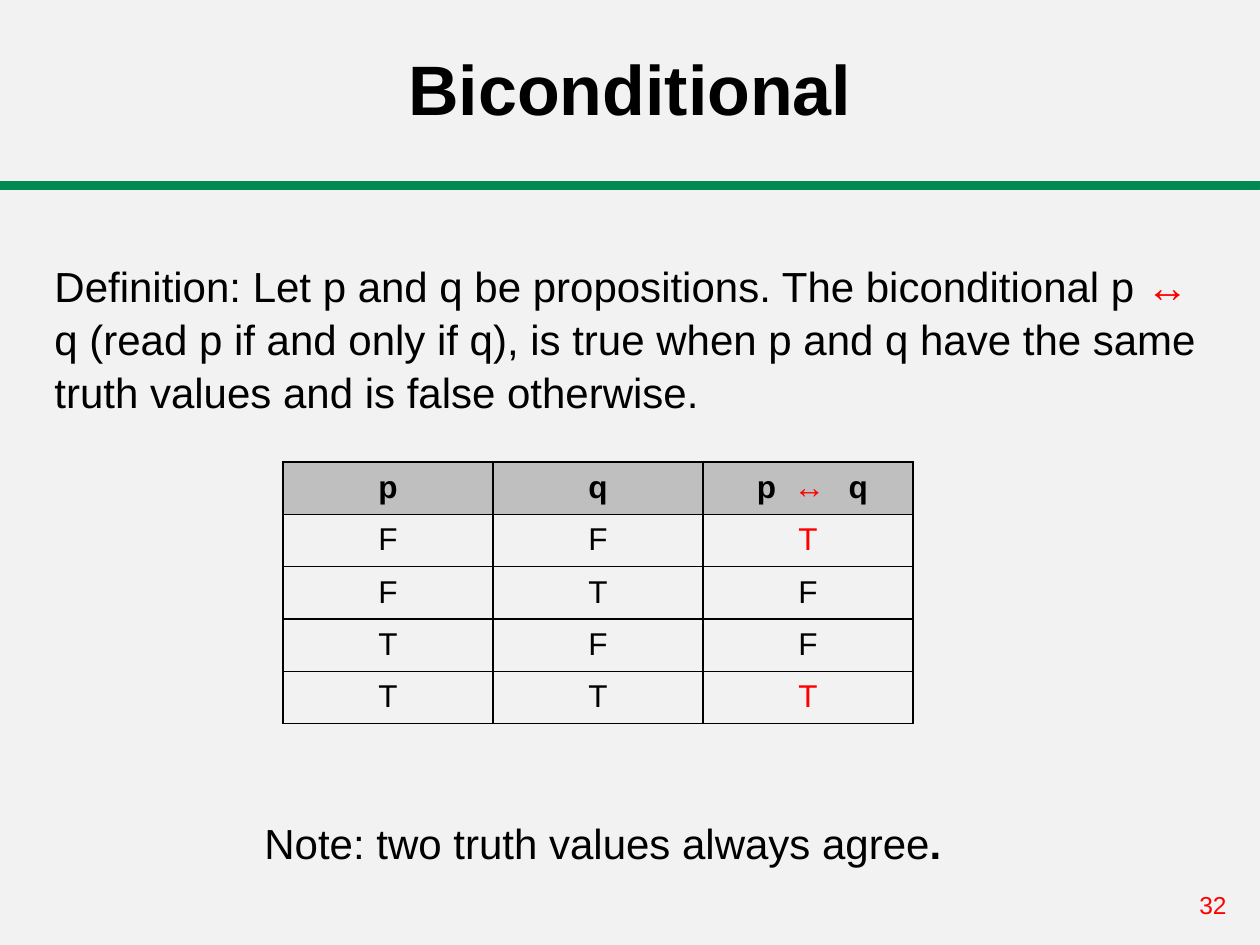
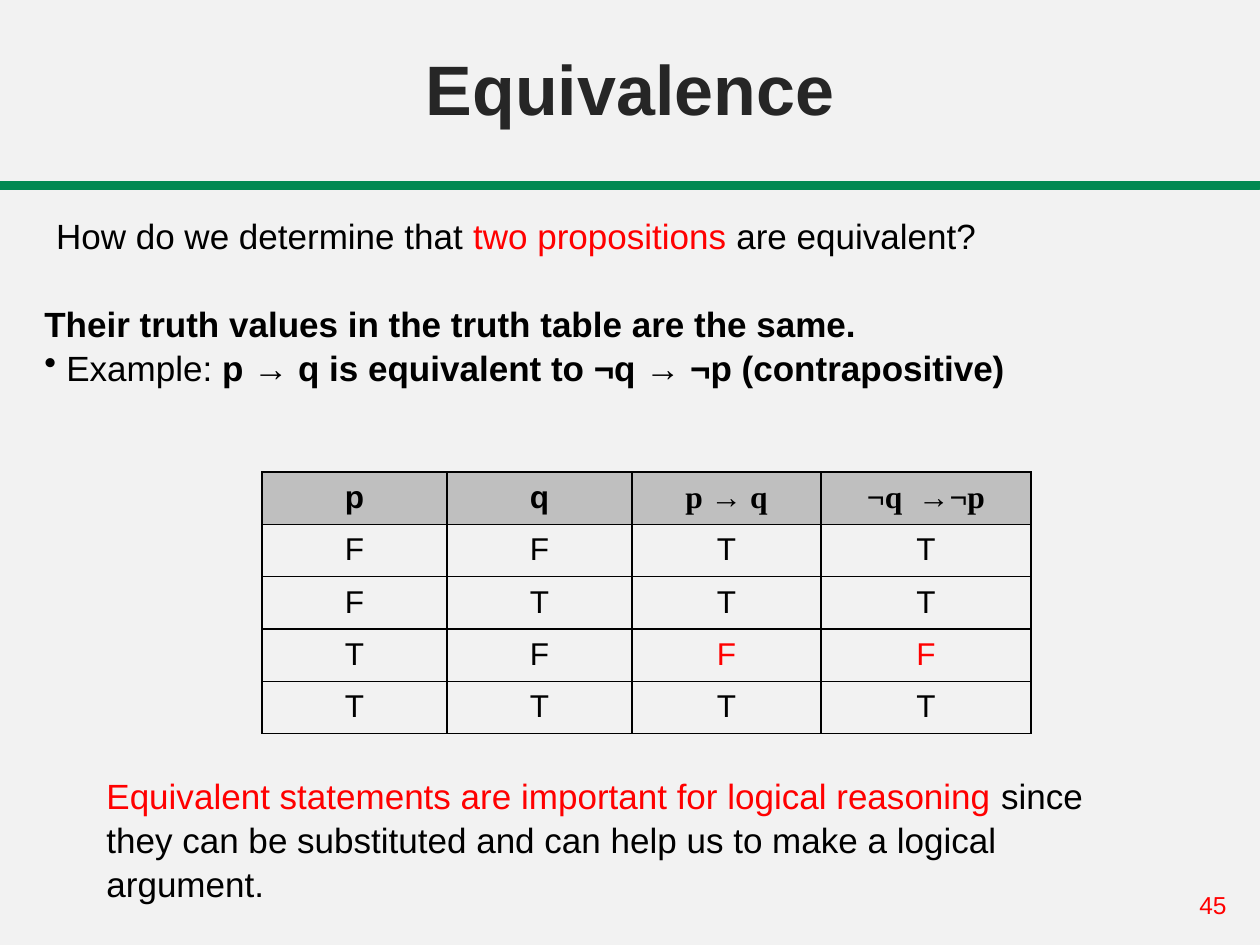
import pptx
import pptx.dml.color
import pptx.enum.shapes
import pptx.enum.text
import pptx.oxml.ns
import pptx.util
from lxml import etree

BLACK, CHARCOAL, RED, GREEN = "000000", "262626", "FF0000", "018952"
GREY, PAPER = "BFBFBF", "F2F2F2"
PX = 7257.14  # 126 px to the inch
LINE_SPACING = 1.05
ROW_HEIGHT = 51
LEFT, CENTER = pptx.enum.text.PP_ALIGN.LEFT, pptx.enum.text.PP_ALIGN.CENTER

BASE = {"name": "Arial", "size": 18, "bold": False, "color": BLACK}
BOLD, IN_RED = {"bold": True}, {"color": RED}
BOLD_TIMES = {"bold": True, "name": "Times New Roman"}

# A span is (text, format changes); a paragraph is (spans, paragraph options).
SLIDES = [
    {
        "title": "Biconditional", "title_color": BLACK, "number": "32",
        "boxes": [
            {"at": (42, 252, 1176, 165), "size": 24, "paragraphs": [
                ([("Definition: Let p and q be propositions. The biconditional p ", {}),
                  ("↔", IN_RED),
                  (" q (read p if and only if q), is true when p and q have the same "
                   "truth values and is false otherwise.", {})], {})]},
            {"at": (252, 809, 798, 64), "size": 24, "paragraphs": [
                ([("Note: two truth values always agree", {}), (".", BOLD)], {})]},
        ],
        "table": {
            "at": (283, 462), "columns": [210, 210, 210],
            "header": [[("p", BOLD)], [("q", BOLD)],
                       [(" p  ", BOLD), ("↔   ", BOLD_TIMES | IN_RED), ("q", BOLD)]],
            "rows": ["FFT", "FTF", "TFF", "TTT"],
            "red_cells": {(1, 2), (4, 2)},
        },
    },
    {
        "title": "Equivalence", "title_color": CHARCOAL, "number": "45",
        "boxes": [
            {"at": (32, 199, 1207, 233), "size": 20, "paragraphs": [
                ([(" ", {"size": 24}), ("How do we determine that ", {}),
                  ("two propositions ", IN_RED), ("are equivalent?", {})], {}),
                ([("Their truth values in the truth table are the same.", BOLD)],
                 {"before": 24}),
                ([("Example: ", {}),
                  ("p → q is equivalent to ¬q → ¬p (contrapositive)", BOLD)],
                 {"bullet": 22})]},
            {"at": (94, 766, 1040, 140), "size": 20, "paragraphs": [
                ([("Equivalent statements are important for logical reasoning ", IN_RED),
                  ("since they can be substituted and can help us to make a logical "
                   "argument.", {})], {})]},
        ],
        "table": {
            "at": (262, 472), "columns": [185, 185, 189, 210],
            "header": [[("p", BOLD)], [("q", BOLD)],
                       [("p → q", BOLD_TIMES)], [("¬q  →¬p", BOLD_TIMES)]],
            "rows": ["FFTT", "FTTT", "TFFF", "TTTT"],
            "red_cells": {(3, 2), (3, 3)},
        },
    },
]


def px(*lengths):
    return [pptx.util.Emu(round(length * PX)) for length in lengths]


def rgb(value):
    return pptx.dml.color.RGBColor.from_string(value)


def fill_solid(fill, color):
    fill.solid()
    fill.fore_color.rgb = rgb(color)


def add_child(parent, tag, **attributes):
    return etree.SubElement(parent, pptx.oxml.ns.qn(tag), attributes)


def write_paragraph(para, spans, formats, align=LEFT, before=0, bullet=0):
    para.alignment = align
    para.line_spacing = LINE_SPACING
    para.space_before = pptx.util.Pt(before)
    if bullet:
        properties = para._p.get_or_add_pPr()
        indent = px(bullet)[0]
        properties.set("marL", str(indent))
        properties.set("indent", str(-indent))
        add_child(properties, "a:buChar", char="•")
    for text, changes in spans:
        span = para.add_run()
        span.text = text
        values = BASE | formats | changes
        span.font.color.rgb = rgb(values.pop("color"))
        values["size"] = pptx.util.Pt(values["size"])
        for name, value in values.items():
            setattr(span.font, name, value)


def add_text(page, at, paragraphs, anchor=pptx.enum.text.MSO_ANCHOR.TOP, **formats):
    frame = page.shapes.add_textbox(*px(*at)).text_frame
    frame.word_wrap = True
    frame.vertical_anchor = anchor
    for index, (spans, options) in enumerate(paragraphs):
        para = frame.add_paragraph() if index else frame.paragraphs[0]
        write_paragraph(para, spans, formats, **options)


def add_frame(page, title, title_color, number):
    """Add the green band, the page number and the title."""
    band = page.shapes.add_shape(
        pptx.enum.shapes.MSO_SHAPE.RECTANGLE, *px(0, 183, 1260, 6))
    band.shadow.inherit = False
    fill_solid(band.fill, GREEN)
    band.line.color.rgb = rgb(GREEN)
    band.line.width = pptx.util.Pt(1.75)
    add_text(page, (1187, 882, 73, 43), [([(number, {})], {})], size=14, color=RED)
    add_text(page, (0, 0, 1260, 136), [([(title, {})], {"align": CENTER})],
             pptx.enum.text.MSO_ANCHOR.BOTTOM, size=40, bold=True, color=title_color)


def add_borders(cell):
    properties = cell._tc.get_or_add_tcPr()
    for side in "LRTB":
        line = add_child(properties, f"a:ln{side}", w=str(pptx.util.Pt(1)))
        add_child(add_child(line, "a:solidFill"), "a:srgbClr", val=BLACK)


def add_truth_table(page, at, columns, header, rows, red_cells):
    body = [[[(value, IN_RED if (r, c) in red_cells else {})]
             for c, value in enumerate(row)] for r, row in enumerate(rows, 1)]
    lines = [header] + body
    table = page.shapes.add_table(
        len(lines), len(columns),
        *px(*at, sum(columns), ROW_HEIGHT * len(lines))).table
    for column, width in zip(table.columns, columns):
        column.width = px(width)[0]
    for r, line in enumerate(lines):
        table.rows[r].height = px(ROW_HEIGHT)[0]
        for c, spans in enumerate(line):
            cell = table.cell(r, c)
            add_borders(cell)
            if r == 0:
                fill_solid(cell.fill, GREY)
            else:
                cell.fill.background()
            write_paragraph(cell.text_frame.paragraphs[0], spans, {}, CENTER)


def main():
    deck = pptx.Presentation()
    deck.slide_width, deck.slide_height = px(1260, 945)
    fill_solid(deck.slide_master.background.fill, PAPER)
    for content in SLIDES:
        page = deck.slides.add_slide(deck.slide_layouts[6])
        add_frame(page, content["title"], content["title_color"], content["number"])
        for box in content["boxes"]:
            add_text(page, **box)
        add_truth_table(page, **content["table"])
    deck.save("out.pptx")


if __name__ == "__main__":
    main()
